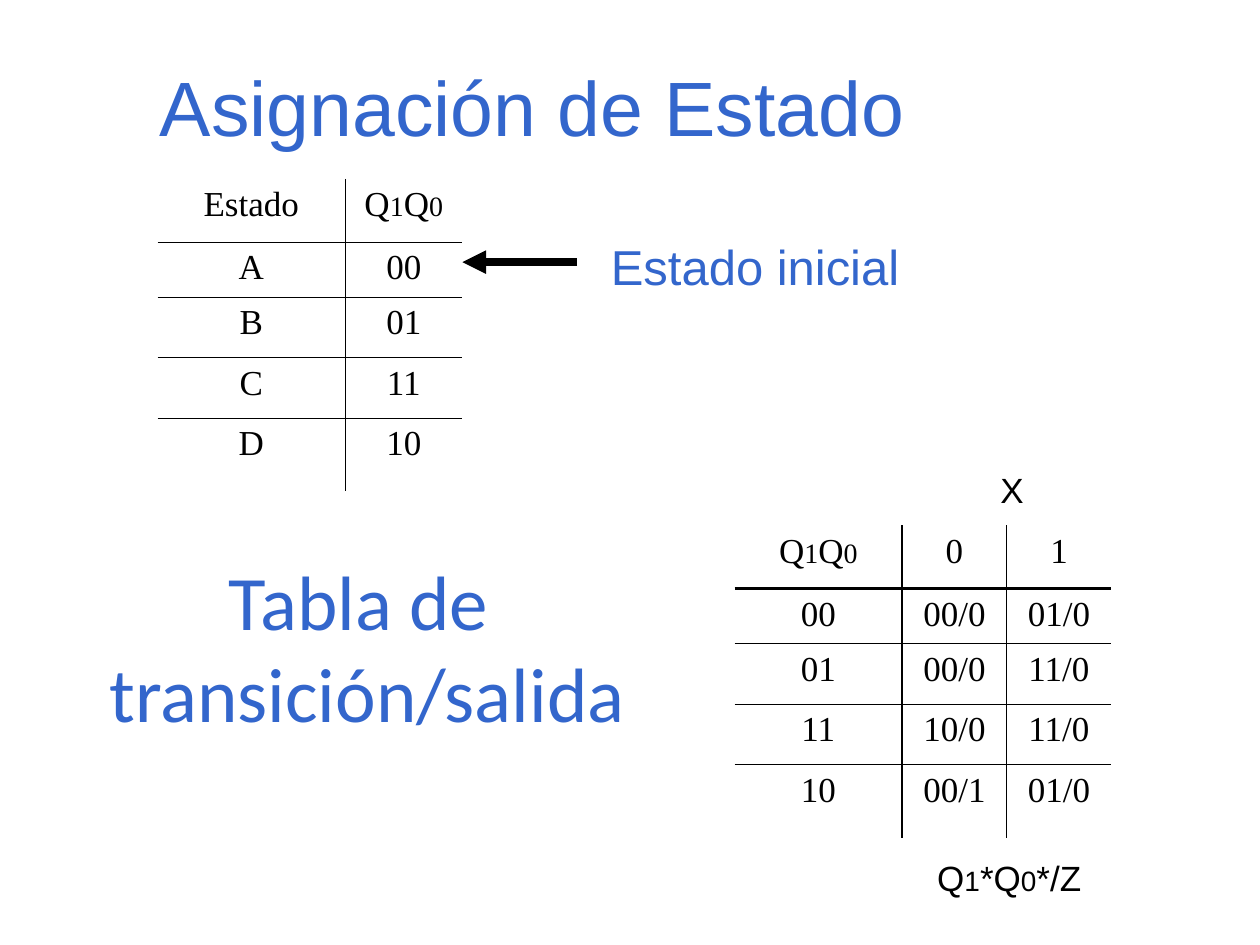
from dataclasses import dataclass

from lxml.etree import SubElement
from pptx import Presentation
from pptx.dml.color import RGBColor
from pptx.enum.shapes import MSO_CONNECTOR
from pptx.enum.text import MSO_ANCHOR, MSO_AUTO_SIZE, PP_ALIGN
from pptx.oxml.ns import qn
from pptx.util import Inches, Pt


@dataclass(frozen=True)
class Theme:
    """Colours, fonts, type sizes and line widths of the slide."""
    accent: str = "3366CC"
    ink: str = "000000"
    sans: str = "Arial"
    serif: str = "Times New Roman"
    heading: str = "Calibri"
    title: int = 44
    label: int = 28
    body: int = 20
    digit: int = 16
    thin: float = 0.45
    thick: float = 1.47
    arrow: float = 4.5


THEME = Theme()
NO_GRID_STYLE = "{2D5ABB26-0587-4C30-8999-92F81FD0307C}"
ROW_HEIGHTS = (0.5, 0.44, 0.48, 0.48, 0.58)
STATE_BITS = ("Q", "1", "Q", "0")
STATES = (
    ("Estado", STATE_BITS),
    ("A", "00"),
    ("B", "01"),
    ("C", "11"),
    ("D", "10"),
)
TRANSITIONS = (
    (STATE_BITS, "0", "1"),
    ("00", "00/0", "01/0"),
    ("01", "00/0", "11/0"),
    ("11", "10/0", "11/0"),
    ("10", "00/1", "01/0"),
)


def write(tf, text, font, size, color, before=0, align=PP_ALIGN.LEFT):
    """Fill a text frame; in a tuple every second part is a small digit."""
    p = tf.paragraphs[0]
    for name, value in {"alignment": align, "space_before": Pt(before)}.items():
        setattr(p, name, value)
    parts = (text,) if isinstance(text, str) else text
    for i, part in enumerate(parts):
        for j, line in enumerate(part.split("\n")):
            if j:
                p.add_line_break()
            r = p.add_run()
            r.text = line
            small = i % 2 == 1
            style = {"name": font, "size": Pt(THEME.digit if small else size), "bold": False}
            for name, value in style.items():
                setattr(r.font, name, value)
            r.font.color.rgb = RGBColor.from_string(color)


def add_text(s, box, text, size, color, before, wrap=True):
    """Add a text box that grows with its text."""
    sp = s.shapes.add_textbox(*map(Inches, box))
    tf = sp.text_frame
    tf.word_wrap = wrap
    tf.auto_size = MSO_AUTO_SIZE.SHAPE_TO_FIT_TEXT
    write(tf, text, THEME.sans, size, color, before)


def place_title(s, box, text):
    """Move and format the title placeholder."""
    sp = s.shapes.title
    for name, value in zip(("left", "top", "width", "height"), box):
        setattr(sp, name, Inches(value))
    tf = sp.text_frame
    frame = {"word_wrap": True, "auto_size": MSO_AUTO_SIZE.NONE,
             "vertical_anchor": MSO_ANCHOR.MIDDLE}
    for name, value in frame.items():
        setattr(tf, name, value)
    write(tf, text, THEME.heading, THEME.title, THEME.accent, align=PP_ALIGN.CENTER)


def set_borders(cell, widths):
    """Draw the cell's sides, with no line where the width is zero."""
    tc_pr = cell._tc.get_or_add_tcPr()
    for side in "LRTB":
        ln = SubElement(tc_pr, qn(f"a:ln{side}"), w=str(int(Pt(widths[side]))))
        if widths[side]:
            fill = SubElement(ln, qn("a:solidFill"))
            SubElement(fill, qn("a:srgbClr"), val=THEME.ink)
        else:
            SubElement(ln, qn("a:noFill"))


def add_grid(s, left, top, col_widths, rows, header_line):
    """Add a table ruled on the inside, with its own line around the headers."""
    box = (left, top, sum(col_widths), sum(ROW_HEIGHTS))
    table = s.shapes.add_table(len(rows), len(col_widths), *map(Inches, box)).table
    table.first_row = table.horz_banding = False
    table._tbl.tblPr.find(qn("a:tableStyleId")).text = NO_GRID_STYLE
    for col, width in zip(table.columns, col_widths):
        col.width = Inches(width)
    for row, height in zip(table.rows, ROW_HEIGHTS):
        row.height = Inches(height)

    def rule(index, count):
        """Give the width of the line before this row or column."""
        return 0 if index in (0, count) else header_line if index == 1 else THEME.thin

    for i, row in enumerate(rows):
        for j, text in enumerate(row):
            cell = table.cell(i, j)
            set_borders(cell, {"L": rule(j, len(row)), "R": rule(j + 1, len(row)),
                               "T": rule(i, len(rows)), "B": rule(i + 1, len(rows))})
            cell.fill.background()
            before = 5 if isinstance(text, str) else 4
            write(cell.text_frame, text, THEME.serif, THEME.body, THEME.ink,
                  before, PP_ALIGN.CENTER)


def add_arrow(s, start, end):
    """Add a straight arrow with its head at the end point."""
    sp = s.shapes.add_connector(MSO_CONNECTOR.STRAIGHT, *map(Inches, start + end))
    sp.line.width = Pt(THEME.arrow)
    sp.line.color.rgb = RGBColor.from_string(THEME.ink)
    SubElement(sp.line._get_or_add_ln(), qn("a:tailEnd"), type="triangle")
    SubElement(sp._element.spPr, qn("a:effectLst"))


def main():
    """Build the slide and save it."""
    prs = Presentation()
    prs.slide_width, prs.slide_height = Inches(10), Inches(7.5)
    s = prs.slides.add_slide(prs.slide_layouts[5])
    add_text(s, (1.17, 0.42, 8.13, 0.84), "Asignación de Estado",
             THEME.title, THEME.accent, 27.5)
    add_grid(s, 1.25, 1.42, (1.49, 0.93), STATES, THEME.thin)
    add_text(s, (4.75, 1.83, 2.75, 0.57), "Estado inicial",
             THEME.label, THEME.accent, 17.5)
    add_arrow(s, (4.58, 2.08), (3.67, 2.08))
    place_title(s, (0.75, 4.75, 4.33, 0.75), "Tabla de \ntransición/salida")
    add_grid(s, 5.83, 4.17, (1.33, 0.83, 0.83), TRANSITIONS, THEME.thick)
    add_text(s, (7.34, 6.75, 1.34, 0.44), ("Q", "1", "*Q", "0", "*/Z"),
             THEME.body, THEME.ink, 5, wrap=False)
    add_text(s, (7.84, 3.67, 0.38, 0.44), "X", THEME.body, THEME.ink, 5, wrap=False)
    prs.save("out.pptx")


if __name__ == "__main__":
    main()
